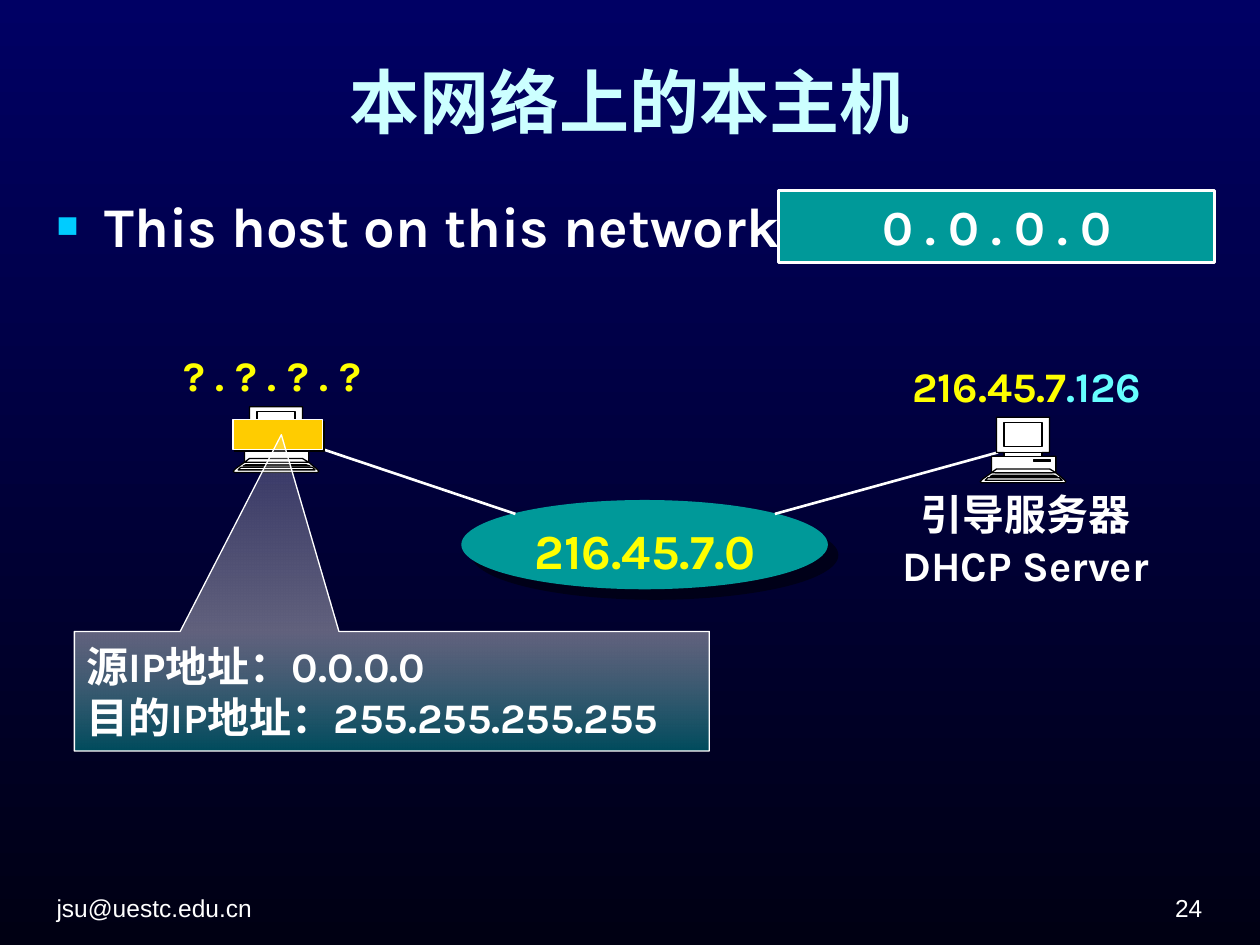
from dataclasses import dataclass

import lxml.etree
import pptx
import pptx.dml.color
import pptx.enum.shapes
import pptx.enum.text
import pptx.oxml.ns
import pptx.util

Cm = pptx.util.Cm
Pt = pptx.util.Pt
Align = pptx.enum.text.PP_ALIGN
Anchor = pptx.enum.text.MSO_ANCHOR
AutoSize = pptx.enum.text.MSO_AUTO_SIZE
Preset = pptx.enum.shapes.MSO_SHAPE
qualified = pptx.oxml.ns.qn


@dataclass(frozen=True)
class Theme:
    white: str = "FFFFFF"
    black: str = "000000"
    teal: str = "009999"
    yellow: str = "FFFF00"
    amber: str = "FFCC00"
    title: str = "CCFFFF"
    host_part: str = "66FFFF"
    bullet: str = "00CCFF"
    background: tuple = ("000064", "000013")
    body_font: str = "Karla"
    title_font: str = "Roboto"
    footer_font: str = "Arial"
    title_size: int = 40
    body_size: int = 32
    address_size: int = 28
    label_size: int = 24
    footer_size: int = 14


THEME = Theme()


@dataclass(frozen=True)
class Box:
    left: float
    top: float
    width: float
    height: float

    def lengths(self) -> tuple:
        return Cm(self.left), Cm(self.top), Cm(self.width), Cm(self.height)


@dataclass(frozen=True)
class Style:
    size: int = THEME.label_size
    color: str = THEME.white
    font: str = THEME.body_font
    bold: bool = True
    align: int = Align.CENTER
    anchor: int = Anchor.TOP
    grow: bool = False
    wrap: bool = True


@dataclass(frozen=True)
class Label:
    box: Box
    text: str
    style: Style


ADDRESS = Style(color=THEME.yellow, grow=True)
FOOTER = Style(THEME.footer_size, font=THEME.footer_font, bold=False, align=Align.LEFT, anchor=Anchor.BOTTOM)
PAGE_NUMBER = Style(THEME.footer_size, font=THEME.footer_font, bold=False, align=Align.RIGHT, anchor=Anchor.BOTTOM)

LABELS = [
    Label(Box(0.89, 17.53, 5.92, 1.19), "jsu@uestc.edu.cn", FOOTER),
    Label(Box(18.57, 17.53, 5.92, 1.19), "24", PAGE_NUMBER),
    Label(Box(0.89, 0.33, 23.6, 3.4), "本网络上的本主机",
          Style(THEME.title_size, THEME.title, THEME.title_font, anchor=Anchor.MIDDLE)),
    Label(Box(2.49, 6.93, 5.99, 1.27), "? . ? . ? . ?", ADDRESS),
    Label(Box(9.91, 10.36, 6.2, 1.45), "216.45.7.0",
          Style(THEME.address_size, THEME.yellow, grow=True)),
    Label(Box(17.78, 9.73, 5.79, 2.29), "引导服务器\nDHCP Server",
          Style(grow=True, wrap=False)),
]

COMPUTER_WIDTH = 1.73
COMPUTER_GRID = 68
COMPUTER_CONTOURS = [
    [(66, 49), (60, 44), (60, 31), (49, 31), (49, 28), (55, 28), (55, 0), (13, 0),
     (13, 28), (19, 28), (19, 31), (9, 31), (9, 44), (2, 49), (0, 51), (1, 52),
     (67, 52), (68, 51)],
    [(57, 44), (55, 43), (14, 43), (12, 44)],
    [(61, 47), (58, 46), (10, 46), (8, 47)],
    [(65, 50), (63, 48), (6, 48), (4, 50)],
    [(60, 44), (55, 41), (13, 41), (9, 44)],
    [(42, 34), (42, 35), (56, 35), (56, 34)],
    [(19, 4), (19, 23), (49, 23), (49, 4)],
    [(19, 28), (49, 28), (49, 31), (19, 31)],
]


def rgb(color: str) -> pptx.dml.color.RGBColor:
    return pptx.dml.color.RGBColor.from_string(color)


def add_element(parent, tag: str, **attributes):
    element = lxml.etree.SubElement(parent, qualified(tag))
    for name, value in attributes.items():
        element.set(name, str(value))
    return element


def format_run(run, style: Style, color: str) -> None:
    run.font.size = Pt(style.size)
    run.font.name = style.font
    run.font.bold = style.bold
    run.font.color.rgb = rgb(color)


def write_text(shape, text: str, style: Style) -> None:
    frame = shape.text_frame
    frame.text = text
    frame.word_wrap = style.wrap
    frame.vertical_anchor = style.anchor
    frame.auto_size = AutoSize.SHAPE_TO_FIT_TEXT if style.grow else AutoSize.NONE
    for paragraph in frame.paragraphs:
        paragraph.alignment = style.align
        for run in paragraph.runs:
            format_run(run, style, style.color)


def add_label(slide, label: Label):
    shape = slide.shapes.add_textbox(*label.box.lengths())
    write_text(shape, label.text, label.style)
    return shape


def add_bullet(slide, label: Label) -> None:
    paragraph = add_label(slide, label).text_frame.paragraphs[0]
    properties = paragraph._p.get_or_add_pPr()
    properties.set("marL", str(Cm(0.97)))
    properties.set("indent", str(-Cm(0.97)))
    add_element(add_element(properties, "a:buClr"), "a:srgbClr", val=THEME.bullet)
    add_element(properties, "a:buSzPct", val=65000)
    add_element(properties, "a:buFont", typeface=THEME.footer_font)
    add_element(properties, "a:buChar", char="■")


def set_line(line, color: str, width: float) -> None:
    line.color.rgb = rgb(color)
    line.width = Pt(width)


def add_panel(slide, preset, box: Box, fill: str, line_width: float = 0):
    shape = slide.shapes.add_shape(preset, *box.lengths())
    shape.shadow.inherit = False
    shape.fill.solid()
    shape.fill.fore_color.rgb = rgb(fill)
    if line_width:
        set_line(shape.line, THEME.white, line_width)
    else:
        shape.line.fill.background()
    return shape


def add_shadow(shape, distance: float, opacity: int) -> None:
    effects = shape._element.spPr.find(qualified("a:effectLst"))
    shadow = add_element(effects, "a:outerShdw", dist=Pt(distance), dir=45 * 60000, algn="ctr", rotWithShape=0)
    color = add_element(shadow, "a:srgbClr", val=THEME.black)
    add_element(color, "a:alpha", val=opacity * 1000)


def set_gradient(fill, colors: tuple) -> None:
    fill.gradient()
    fill.gradient_angle = 270
    for stop, color in zip(fill.gradient_stops, colors):
        stop.color.rgb = rgb(color)


def add_link(slide, start: tuple, end: tuple) -> None:
    points = [Cm(value) for value in (*start, *end)]
    connector = slide.shapes.add_connector(pptx.enum.shapes.MSO_CONNECTOR.STRAIGHT, *points)
    set_line(connector.line, THEME.white, 1.5)
    add_element(connector._element.spPr, "a:effectLst")


def add_computer(slide, left: float, top: float) -> None:
    builder = slide.shapes.build_freeform(*COMPUTER_CONTOURS[0][0], scale=Cm(COMPUTER_WIDTH) / COMPUTER_GRID)
    for index, contour in enumerate(COMPUTER_CONTOURS):
        if index:
            builder.move_to(*contour[0])
        builder.add_line_segments(contour[1:], close=True)
    shape = builder.convert_to_shape(Cm(left), Cm(top))
    shape.shadow.inherit = False
    shape.fill.solid()
    shape.fill.fore_color.rgb = rgb(THEME.white)
    set_line(shape.line, THEME.black, 0.75)
    combined = next(shape._element.iter(qualified("a:path")))
    path_list = combined.getparent()
    for step in list(combined):
        if step.tag == qualified("a:moveTo"):
            contour_path = add_element(path_list, "a:path", **combined.attrib)
        contour_path.append(step)
    path_list.remove(combined)


def add_callout(slide, box: Box, text: str) -> None:
    shape = add_panel(slide, Preset.RECTANGULAR_CALLOUT, box, THEME.teal, 0.75)
    shape.adjustments[0] = -0.174
    shape.adjustments[1] = -2.146
    set_gradient(shape.fill, (THEME.white, THEME.teal))
    stops = shape._element.spPr.iter(qualified("a:gs"))
    for stop, opacity in zip(stops, (20, 50)):
        add_element(stop[0], "a:alpha", val=opacity * 1000)
    write_text(shape, text, Style(align=Align.LEFT, anchor=Anchor.MIDDLE))


def main() -> None:
    presentation = pptx.Presentation()
    presentation.slide_width, presentation.slide_height = Cm(25.4), Cm(19.05)
    slide = presentation.slides.add_slide(presentation.slide_layouts[6])
    set_gradient(slide.background.fill, THEME.background)

    network = add_panel(slide, Preset.OVAL, Box(9.3, 10.08, 7.39, 1.8), THEME.teal)
    add_shadow(network, 8.5, 50)
    for label in LABELS:
        add_label(slide, label)
    add_bullet(slide, Label(Box(0.89, 3.73, 23.6, 13.79), "This host on this network",
                            Style(THEME.body_size, align=Align.LEFT)))
    server = add_label(slide, Label(Box(17.5, 7.14, 6.4, 1.27), "216.45.7", ADDRESS))
    host_run = server.text_frame.paragraphs[0].add_run()
    host_run.text = ".126"
    format_run(host_run, ADDRESS, THEME.host_part)

    add_link(slide, (6.1, 8.92), (10.39, 10.36))
    add_link(slide, (20.12, 9.12), (15.62, 10.36))
    add_computer(slide, 4.7, 8.2)
    add_computer(slide, 19.76, 8.41)

    address = add_panel(slide, Preset.RECTANGLE, Box(15.7, 3.84, 8.79, 1.45), THEME.teal, 1.5)
    write_text(address, "0 . 0 . 0 . 0", Style(THEME.address_size, grow=True))
    packet = add_panel(slide, Preset.RECTANGLE, Box(4.7, 8.46, 1.8, 0.61), THEME.amber, 0.75)
    add_shadow(packet, 1.4, 100)
    add_callout(slide, Box(1.5, 12.73, 12.8, 2.41), "源IP地址：0.0.0.0\n目的IP地址：255.255.255.255")
    presentation.save("out.pptx")


if __name__ == "__main__":
    main()
